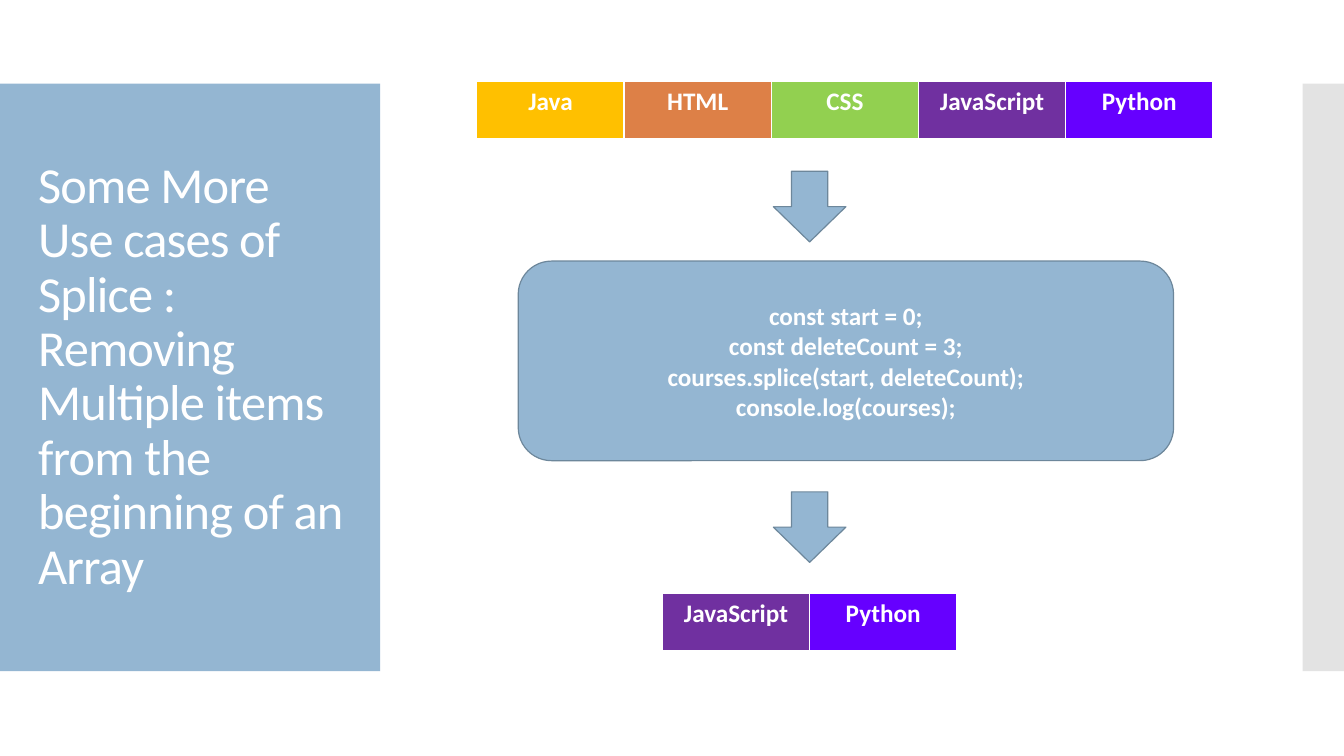
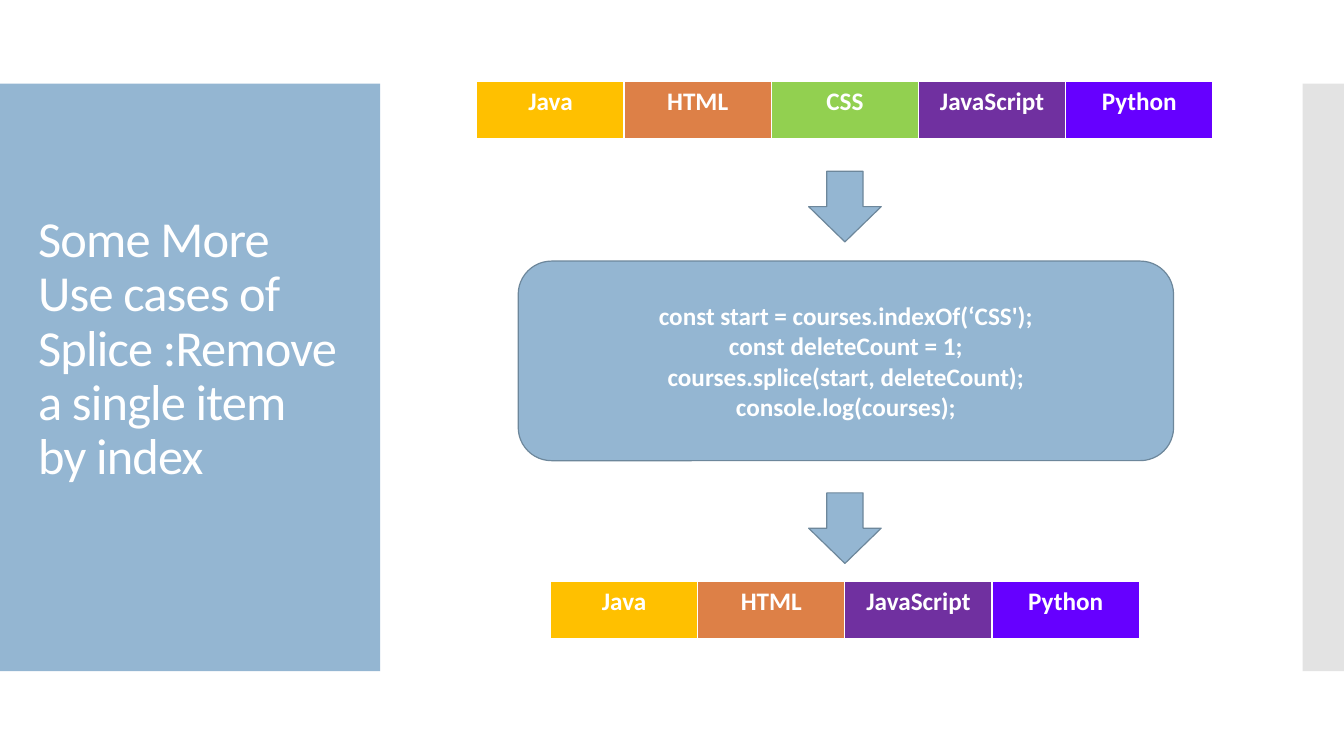
import pptx
import pptx.util
import pptx.dml.color
import pptx.enum.shapes
import pptx.enum.text
import pptx.oxml
import pptx.oxml.ns

Inches, Pt = pptx.util.Inches, pptx.util.Pt
KIND = pptx.enum.shapes.MSO_SHAPE
ALIGN = pptx.enum.text.PP_ALIGN
MIDDLE = pptx.enum.text.MSO_ANCHOR.MIDDLE
qn = pptx.oxml.ns.qn

# Content
COLORS = {
    "white": "FFFFFF", "blue": "94B6D2", "edge": "6D879B", "gray": "C8C8C8",
    "Java": "FFC000", "HTML": "DD8047", "CSS": "92D050",
    "JavaScript": "7030A0", "Python": "6600FF",
}
COURSES = ["Java", "HTML", "CSS", "JavaScript", "Python"]
ENDING = ["courses.splice(start, deleteCount);", "console.log(courses);"]
SLIDES = [
    {
        "title": "Some More Use cases of Splice : Removing Multiple items "
                 "from the beginning of an Array",
        "code": ["const start = 0;", "const deleteCount = 3;"],
        "left": ["JavaScript", "Python"],
        "mid": 8.03, "arrow": 4.88, "row": 5.89, "pad": 0.05,
    },
    {
        "title": "Some More Use cases of Splice :Remove a single item by index",
        "code": ["const start = courses.indexOf(‘CSS');", "const deleteCount = 1;"],
        "left": ["Java", "HTML", "JavaScript", "Python"],
        "mid": 8.38, "arrow": 4.89, "row": 5.77, "pad": 0.6,
    },
]

# Layout in inches
CENTER = 8.38
CELL_W, CELL_H = 1.46, 0.58
ARROW_W, ARROW_H = 0.72, 0.7
BOX_W, BOX_H = 6.5, 1.98


def rgb(name):
    return pptx.dml.color.RGBColor.from_string(COLORS[name])


def style(par, size, bold=False):
    for run in par.runs:
        font = run.font
        font.name, font.size, font.bold = "Calibri", Pt(size), bold
        font.color.rgb = rgb("white")


def block(slide, kind, x, y, w, h, fill="blue", edge=None):
    shape = slide.shapes.add_shape(kind, Inches(x), Inches(y), Inches(w), Inches(h))
    shape.shadow.inherit = False
    shape.fill.solid()
    shape.fill.fore_color.rgb = rgb(fill)
    if edge:
        shape.line.color.rgb = rgb(edge)
        shape.line.width = Pt(0.85)
    else:
        shape.line.fill.background()
    return shape


def bands(slide):
    block(slide, KIND.RECTANGLE, 0, 0.83, 3.77, 5.83)
    side = block(slide, KIND.RECTANGLE, 12.92, 0.83, 0.42, 5.83, "gray")
    color = side.fill._xPr.find(qn("a:solidFill"))[0]
    pptx.oxml.ns.nsdecls("a")
    color.append(pptx.oxml.parse_xml(f'<a:alpha {pptx.oxml.ns.nsdecls("a")} val="50000"/>'))


def title(slide, text, pad):
    box = slide.shapes.add_textbox(Inches(0.28), Inches(1.23), Inches(3.22), Inches(5.03))
    frame = box.text_frame
    frame.text = text
    frame.word_wrap = True
    frame.vertical_anchor = MIDDLE
    frame.margin_bottom = Inches(pad)
    par = frame.paragraphs[0]
    par.line_spacing = 0.9
    style(par, 36)
    par.runs[0].font._element.set("spc", "-60")


def border(cell):
    props = cell._tc.get_or_add_tcPr()
    for place, (side, width) in enumerate([("L", 1), ("R", 1), ("T", 1), ("B", 3)]):
        line = pptx.oxml.parse_xml(
            f'<a:ln{side} {pptx.oxml.ns.nsdecls("a")} w="{Pt(width)}"><a:solidFill>'
            f'<a:srgbClr val="{COLORS["white"]}"/></a:solidFill></a:ln{side}>')
        props.insert(place, line)


def array(slide, items, mid, y):
    wide = CELL_W * len(items)
    table = slide.shapes.add_table(1, len(items), Inches(mid - wide / 2), Inches(y),
                                   Inches(wide), Inches(CELL_H)).table
    for col, item in enumerate(items):
        table.columns[col].width = Inches(CELL_W)
        cell = table.cell(0, col)
        cell.text = item
        cell.fill.solid()
        cell.fill.fore_color.rgb = rgb(item)
        border(cell)
        par = cell.text_frame.paragraphs[0]
        par.alignment = ALIGN.CENTER
        style(par, 18, True)


def arrow(slide, mid, y):
    block(slide, KIND.DOWN_ARROW, mid - ARROW_W / 2, y, ARROW_W, ARROW_H, edge="edge")


def code(slide, lines):
    box = block(slide, KIND.ROUNDED_RECTANGLE, CENTER - BOX_W / 2 + 0.01, 2.59,
                BOX_W, BOX_H, edge="edge")
    frame = box.text_frame
    frame.text = "\n".join(lines)
    frame.word_wrap = True
    frame.vertical_anchor = MIDDLE
    for par in frame.paragraphs:
        par.alignment = ALIGN.CENTER
        style(par, 18, True)


def main():
    deck = pptx.Presentation()
    deck.slide_width, deck.slide_height = Inches(13.33), Inches(7.5)
    for data in SLIDES:
        slide = deck.slides.add_slide(deck.slide_layouts[6])
        bands(slide)
        title(slide, data["title"], data["pad"])
        array(slide, COURSES, CENTER, 0.81)
        arrow(slide, data["mid"], 1.7)
        code(slide, data["code"] + ENDING)
        arrow(slide, data["mid"], data["arrow"])
        array(slide, data["left"], data["mid"], data["row"])
    deck.save("out.pptx")


if __name__ == "__main__":
    main()
